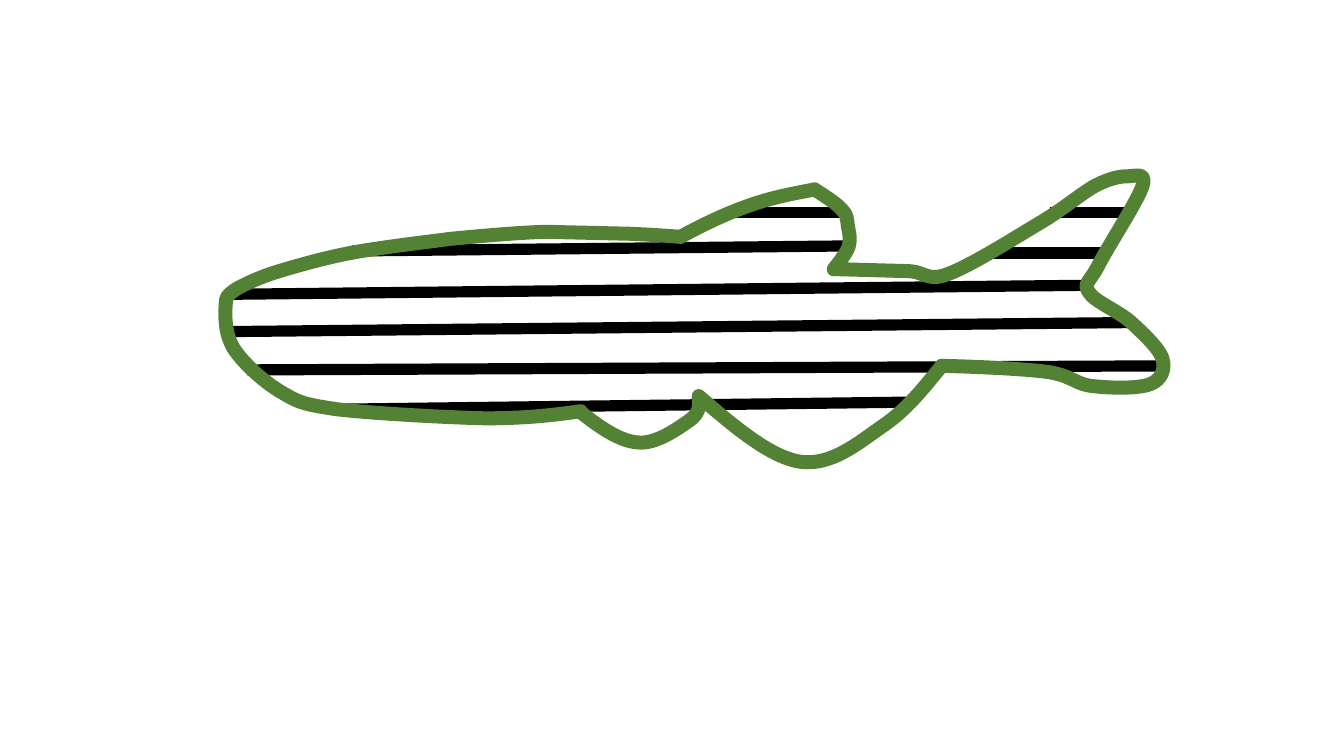
from dataclasses import dataclass

from lxml import etree
from pptx import Presentation
from pptx import util as u
from pptx.dml.color import RGBColor
from pptx.enum import shapes
from pptx.oxml.ns import qn


@dataclass(frozen=True)
class Theme:
    """Colours and line widths in points."""
    skin: str = "548235"
    stripe: str = "000000"
    edge: float = 10
    band: float = 8


THEME = Theme()

# Coordinates are in inches. Stripe: x1, y1, x2, y2.
STRIPES = [
    (2.24, 3.29, 11.22, 3.2), (3.34, 4.06, 8.99, 3.99),
    (7.27, 2.11, 8.33, 2.11), (10.41, 2.11, 11.16, 2.11),
    (3.49, 2.49, 8.42, 2.44), (9.79, 2.51, 10.97, 2.51),
    (2.45, 3.67, 11.51, 3.63), (2.26, 2.92, 10.82, 2.83),
]

# Each outline is a start point, then steps: two numbers make a straight
# line, six numbers make a cubic curve.
BACK = [
    (2.24, 3), (2.24, 2.96, 2.25, 2.93, 2.34, 2.87),
    (2.43, 2.82, 2.57, 2.75, 2.77, 2.69),
    (2.97, 2.63, 3.25, 2.55, 3.53, 2.5),
    (3.82, 2.45, 4.16, 2.41, 4.47, 2.37),
    (4.79, 2.34, 5.11, 2.31, 5.41, 2.3), (6.26, 2.32),
    (6.48, 2.33, 6.61, 2.34, 6.75, 2.35),
]
FIN_FRONT = [
    (6.75, 2.35), (6.97, 2.23, 7.2, 2.12, 7.43, 2.04),
    (7.65, 1.96, 7.87, 1.92, 8.08, 1.88),
]
FIN_REAR = [
    (8.08, 1.88), (8.19, 1.95, 8.3, 2.02, 8.35, 2.08),
    (8.41, 2.14, 8.4, 2.18, 8.41, 2.24),
    (8.42, 2.3, 8.44, 2.37, 8.42, 2.44),
    (8.4, 2.51, 8.3, 2.63, 8.28, 2.66),
    (8.26, 2.69, 8.28, 2.66, 8.3, 2.63),
]
TAIL = [
    (8.27, 2.67), (8.99, 2.69),
    (9.18, 2.69, 9.19, 2.8, 9.4, 2.72),
    (9.62, 2.64, 10.05, 2.37, 10.3, 2.22),
    (10.54, 2.08, 10.71, 1.93, 10.85, 1.85),
    (11, 1.77, 11.1, 1.75, 11.18, 1.75),
    (11.26, 1.75, 11.38, 1.7, 11.33, 1.85),
    (11.28, 2, 10.98, 2.46, 10.89, 2.64),
    (10.8, 2.81, 10.74, 2.81, 10.8, 2.9),
    (10.85, 2.99, 11.1, 3.09, 11.22, 3.2),
    (11.34, 3.31, 11.5, 3.46, 11.53, 3.56),
    (11.56, 3.66, 11.52, 3.77, 11.41, 3.81),
    (11.29, 3.86, 11, 3.85, 10.83, 3.83),
    (10.66, 3.81, 10.64, 3.73, 10.39, 3.69),
    (10.15, 3.66, 9.74, 3.64, 9.34, 3.63),
]
FIN_LARGE = [
    (9.34, 3.63), (9.16, 3.85, 8.99, 4.07, 8.75, 4.23),
    (8.52, 4.39, 8.24, 4.63, 7.93, 4.58),
    (7.63, 4.53, 7.28, 4.23, 6.93, 3.93),
]
FIN_SMALL = [
    (6.93, 3.95), (6.94, 4.02, 6.94, 4.1, 6.84, 4.17),
    (6.74, 4.24, 6.51, 4.41, 6.33, 4.39),
    (6.15, 4.38, 5.95, 4.24, 5.76, 4.09),
]
BELLY = [
    (5.76, 4.08), (5.48, 4.12, 5.21, 4.15, 4.81, 4.15),
    (4.4, 4.14, 3.68, 4.1, 3.34, 4.06),
    (3, 4.01, 2.96, 3.99, 2.79, 3.89),
    (2.62, 3.79, 2.42, 3.61, 2.32, 3.46),
    (2.23, 3.31, 2.23, 3.15, 2.24, 3),
]
FISH = [BACK, FIN_FRONT, FIN_REAR, TAIL, FIN_LARGE, FIN_SMALL, BELLY]


def size(inch):
    """Turn inches into a length."""
    return u.Cm(inch * 2.54)


def ink(line, color, width):
    """Set the colour and width of a line."""
    line.color.rgb = RGBColor.from_string(color)
    line.width = u.Pt(width)


def add_stripe(slide, ends):
    """Draw one straight stripe."""
    bar = slide.shapes.add_connector(
        shapes.MSO_CONNECTOR.STRAIGHT, *map(size, ends))
    ink(bar.line, THEME.stripe, THEME.band)
    etree.SubElement(bar._element.spPr, qn("a:effectLst"))


def bend(shape, steps):
    """Join the three points of each curved step into a cubic curve."""
    track = next(shape._element.iter(qn("a:path")))
    nodes = iter(track.findall(qn("a:lnTo")))
    for step in steps:
        first = next(nodes)
        if len(step) == 6:
            first.tag = qn("a:cubicBezTo")
            for _ in range(2):
                node = next(nodes)
                first.append(node[0])
                track.remove(node)


def add_curve(group, outline):
    """Draw one open part of the outline with round ends."""
    start, *steps = outline
    dots = [(size(x), size(y)) for step in steps
            for x, y in zip(step[::2], step[1::2])]
    pen = group.shapes.build_freeform(*map(size, start))
    pen.add_line_segments(dots, close=False)
    part = pen.convert_to_shape()
    bend(part, steps)
    part.shadow.inherit = False
    part.fill.background()
    ink(part.line, THEME.skin, THEME.edge)
    edge = part._element.spPr.find(qn("a:ln"))
    edge.set("cap", "rnd")
    etree.SubElement(edge, qn("a:round"))


def main():
    """Build the striped fish slide."""
    deck = Presentation()
    deck.slide_width, deck.slide_height = size(13.33), size(7.5)
    slide = deck.slides.add_slide(deck.slide_layouts[6])
    for ends in STRIPES:
        add_stripe(slide, ends)
    group = slide.shapes.add_group_shape()
    for outline in FISH:
        add_curve(group, outline)
    deck.save("out.pptx")


main()
